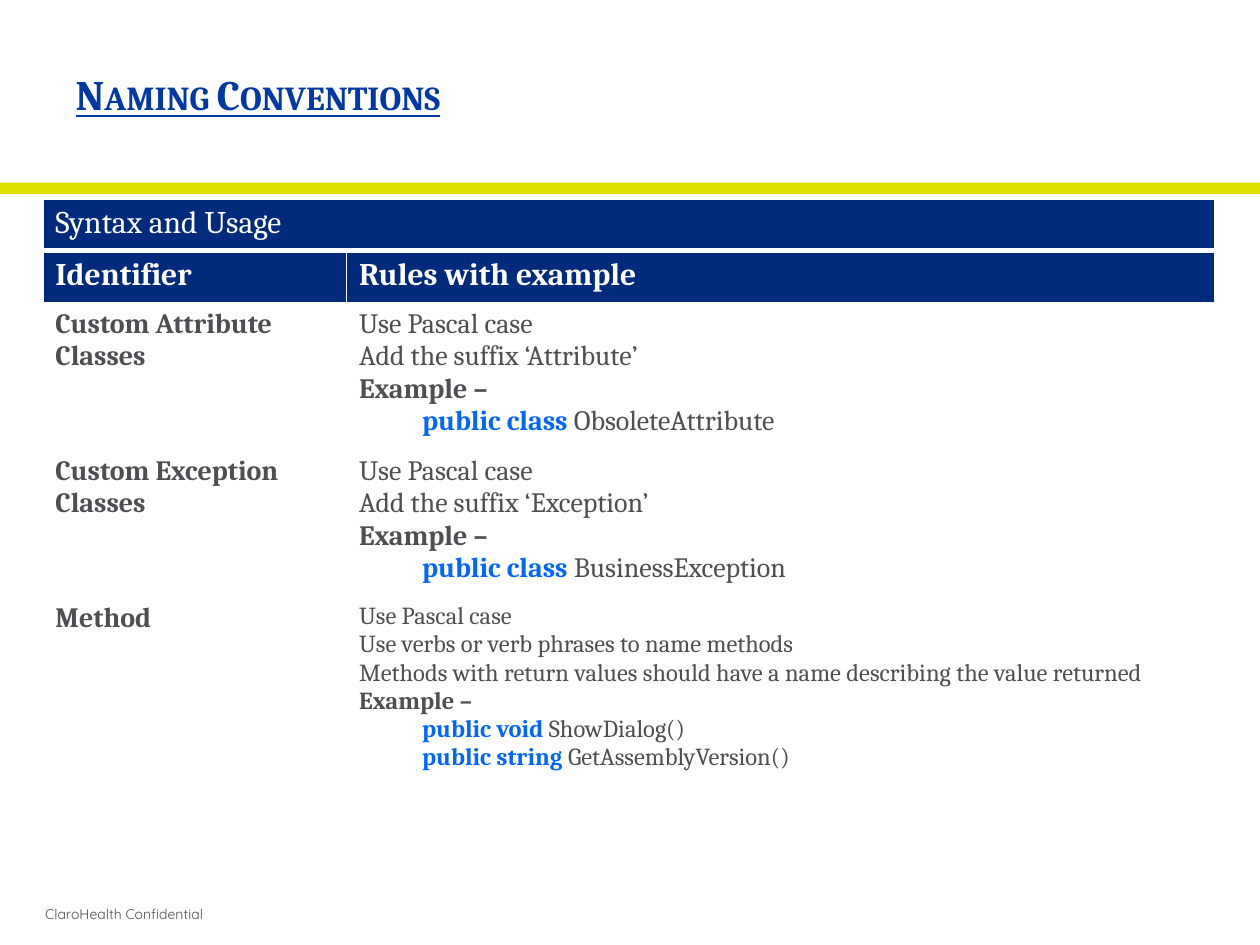
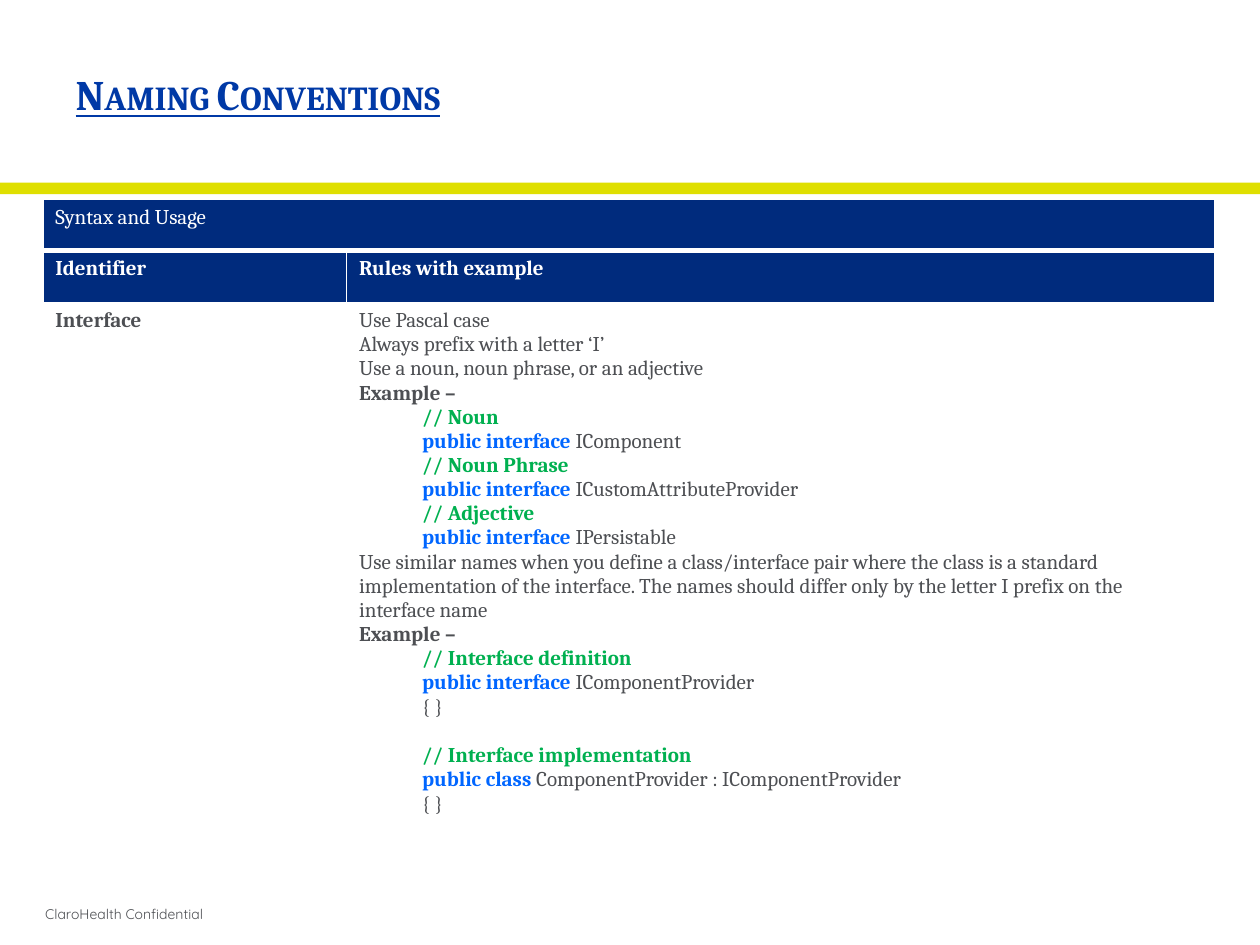
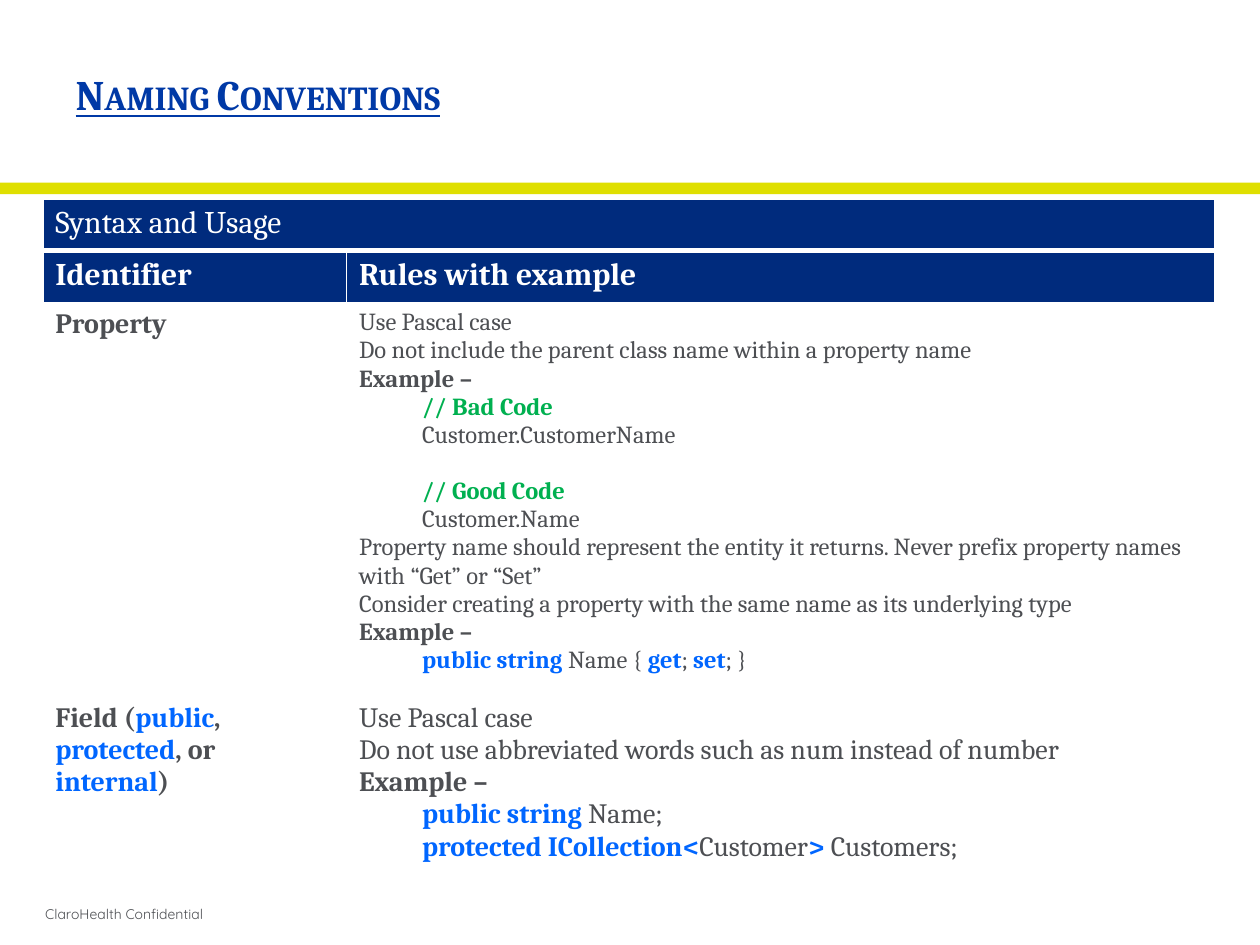
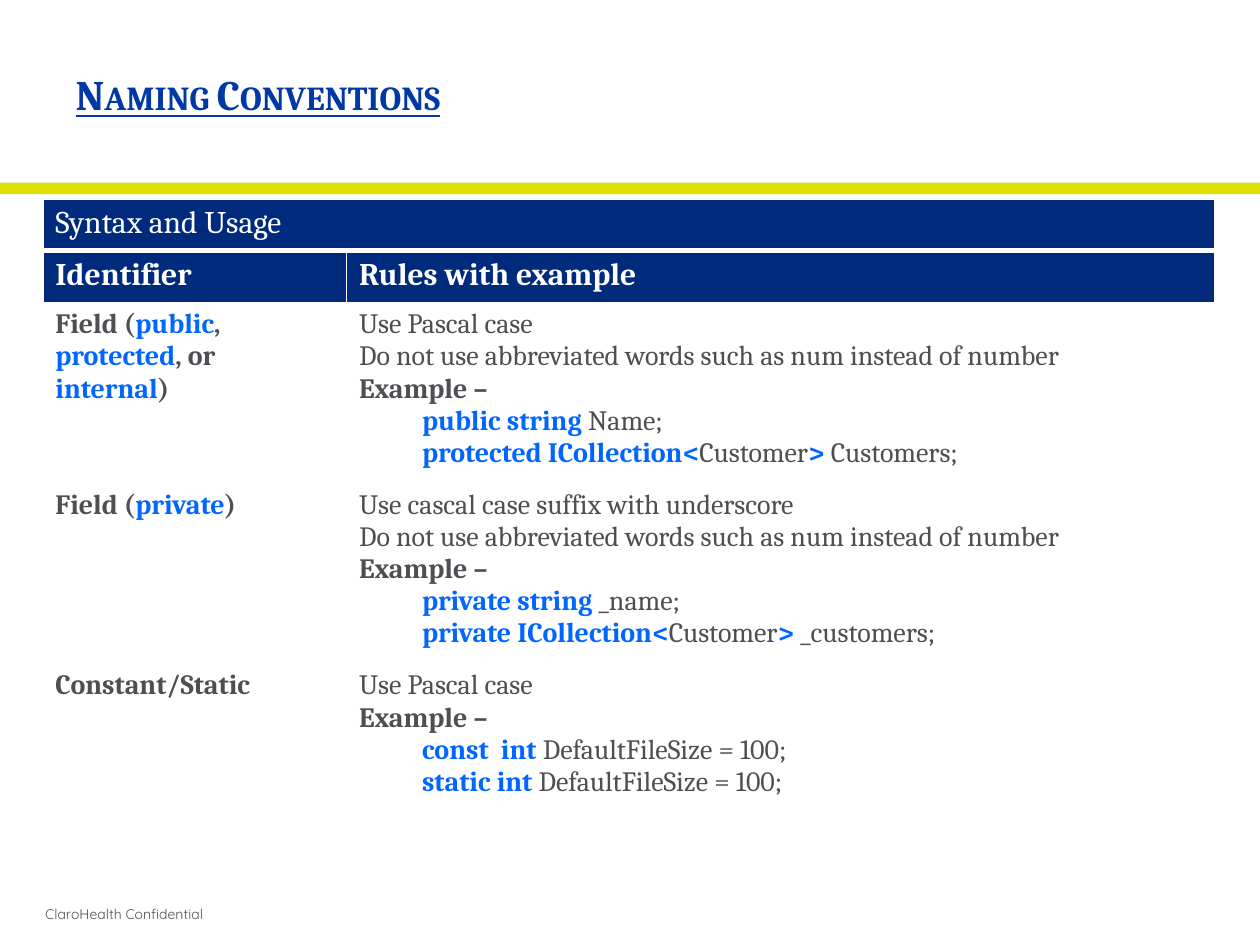
from dataclasses import dataclass

from lxml.etree import SubElement
from pptx import Presentation
from pptx.dml.color import RGBColor
from pptx.enum.shapes import MSO_SHAPE
from pptx.enum.text import MSO_ANCHOR, PP_ALIGN
from pptx.oxml.ns import qn
from pptx.util import Inches, Pt

# Colours and fonts
WHITE = RGBColor(0xFF, 0xFF, 0xFF)
NAVY = RGBColor(0x00, 0x2B, 0x7D)
TITLE_BLUE = RGBColor(0x00, 0x39, 0xA6)
KEYWORD_BLUE = RGBColor(0x00, 0x66, 0xFF)
COMMENT_GREEN = RGBColor(0x00, 0xB0, 0x50)
BAND_YELLOW = RGBColor(0xDF, 0xDF, 0x00)
GREY = RGBColor(0x4D, 0x4F, 0x53)
BODY_FONT = "Cambria"
FOOTER_FONT = "Quicksand"

# Span formats
PLAIN = {"bold": False, "color": GREY}
STRONG = {"bold": True, "color": GREY}
KEYWORD = {"bold": True, "color": KEYWORD_BLUE}
COMMENT = {"bold": True, "color": COMMENT_GREEN}
HEADING = {"bold": False, "color": WHITE}
COLUMN_HEADING = {"bold": True, "color": WHITE}

LINE_HEIGHT = 1.15
ROW_HEIGHT = 0.41
COLUMN_WIDTHS = (2.41, 6.89)


@dataclass
class Line:
    spans: list
    indented: bool = False
    gap: bool = False


@dataclass
class Entry:
    identifier: Line
    rules: list
    size: int = 16
    rule_size: int = 16


# Kinds of line
def alternate(texts, formats):
    return [(text, formats[i % 2]) for i, text in enumerate(texts) if text]


def identifier(*texts):
    return Line(alternate(texts, (STRONG, KEYWORD)))


def rule(text):
    return Line([(text, PLAIN)])


def code(*texts):
    """Keywords and plain code in turn."""
    return Line(alternate(texts, (KEYWORD, PLAIN)), indented=True)


def comment(text, gap=False):
    return Line([(text, COMMENT)], indented=True, gap=gap)


PASCAL = rule("Use Pascal case")
NO_SHORT_WORDS = rule("Do not use abbreviated words such as num instead of number")
EXAMPLE = Line([("Example –", STRONG)])
EMPTY_BODY = code("", "{ }")


class ConventionDeck:
    def __init__(self):
        self.deck = Presentation()
        self.deck.slide_width = Inches(10)
        self.deck.slide_height = Inches(7.5)
        self.page = None

    def add_page(self, title):
        self.page = self.deck.slides.add_slide(self.deck.slide_layouts[5])
        self.add_footer("ClaroHealth Confidential")
        self.add_band()
        self.set_title(title)

    def add_span(self, para, text, **values):
        span = para.add_run()
        span.text = text
        color = values.pop("color")
        for name, value in values.items():
            setattr(span.font, name, value)
        span.font.color.rgb = color
        return span

    def add_footer(self, text):
        box = self.page.shapes.add_textbox(Inches(0.26), Inches(7.08), Inches(9.52), Inches(0.35))
        box.text_frame.word_wrap = True
        box.text_frame.vertical_anchor = MSO_ANCHOR.MIDDLE
        self.add_span(box.text_frame.paragraphs[0], text,
                      name=FOOTER_FONT, size=Pt(8), color=GREY)

    def add_band(self):
        band = self.page.shapes.add_shape(
            MSO_SHAPE.RECTANGLE, 0, Inches(1.45), Inches(10), Inches(0.09))
        band.shadow.inherit = False
        band.fill.solid()
        band.fill.fore_color.rgb = BAND_YELLOW
        band.line.fill.background()

    def set_title(self, text):
        title = self.page.shapes.title
        title.left, title.top = Inches(0.5), Inches(0.51)
        title.width, title.height = Inches(8.99), Inches(0.47)
        title.text_frame.vertical_anchor = MSO_ANCHOR.MIDDLE
        para = title.text_frame.paragraphs[0]
        para.alignment = PP_ALIGN.LEFT
        span = self.add_span(para, text, name=BODY_FONT, size=Pt(24), bold=True,
                             underline=True, color=TITLE_BLUE)
        span.font._element.set("cap", "small")

    def add_border(self, cell, bottom=1):
        properties = cell._tc.get_or_add_tcPr()
        for side, width in {"lnL": 1, "lnR": 1, "lnT": 1, "lnB": bottom}.items():
            border = SubElement(properties, qn(f"a:{side}"), w=str(Pt(width)))
            fill = SubElement(border, qn("a:solidFill"))
            SubElement(fill, qn("a:srgbClr"), val=str(WHITE))

    def fill_cell(self, cell, lines, size, fill=None, bottom=1):
        self.add_border(cell, bottom)
        if fill is None:
            cell.fill.background()
        else:
            cell.fill.solid()
            cell.fill.fore_color.rgb = fill
        frame = cell.text_frame
        for i, line in enumerate(lines):
            para = frame.add_paragraph() if i else frame.paragraphs[0]
            if line.indented:
                para.level = 1
                properties = para._p.get_or_add_pPr()
                properties.set("marL", str(Inches(0.5)))
                properties.set("indent", "0")
            if line.gap:
                para.space_before = Pt(round(size * LINE_HEIGHT))
            for text, values in line.spans:
                self.add_span(para, text, name=BODY_FONT, size=Pt(size), **values)

    def add_rules_table(self, entries, height, heading_size=18):
        frame = self.page.shapes.add_table(
            len(entries) + 2, 2, Inches(0.34), Inches(1.58),
            Inches(sum(COLUMN_WIDTHS)), Inches(height))
        table = frame.table
        table.first_row = table.horz_banding = False
        for column, width in zip(table.columns, COLUMN_WIDTHS):
            column.width = Inches(width)
        for row in table.rows:
            row.height = Inches(ROW_HEIGHT)
        frame.height = Inches(height)

        # Two heading rows
        table.cell(0, 0).merge(table.cell(0, 1))
        self.fill_cell(table.cell(0, 0), [Line([("Syntax and Usage", HEADING)])],
                       heading_size, NAVY, bottom=3)
        for i, text in enumerate(("Identifier", "Rules with example")):
            self.fill_cell(table.cell(1, i), [Line([(text, COLUMN_HEADING)])],
                           heading_size, NAVY)

        # One row for each identifier
        for i, entry in enumerate(entries, start=2):
            self.fill_cell(table.cell(i, 0), [entry.identifier], entry.size)
            self.fill_cell(table.cell(i, 1), entry.rules, entry.rule_size)


def custom_class(kind, example):
    return Entry(identifier(f"Custom {kind} Classes"), [
        PASCAL, rule(f"Add the suffix ‘{kind}’"), EXAMPLE, code("public class ", example)])


CLASSES_AND_METHODS = [
    custom_class("Attribute", "ObsoleteAttribute"),
    custom_class("Exception", "BusinessException"),
    Entry(identifier("Method"), [
        PASCAL,
        rule("Use verbs or verb phrases to name methods"),
        rule("Methods with return values should have a name describing the value returned"),
        EXAMPLE,
        code("public void ", "ShowDialog()"),
        code("public string ", "GetAssemblyVersion()"),
    ], rule_size=14),
]

INTERFACES = [
    Entry(identifier("Interface"), [
        PASCAL,
        rule("Always prefix with a letter ‘I’"),
        rule("Use a noun, noun phrase, or an adjective"),
        EXAMPLE,
        comment("// Noun"),
        code("public interface ", "IComponent"),
        comment("// Noun Phrase"),
        code("public interface ", "ICustomAttributeProvider"),
        comment("// Adjective"),
        code("public interface ", "IPersistable"),
        rule("Use similar names when you define a class/interface pair where the class is a "
             "standard implementation of the interface. The names should differ only by the "
             "letter I prefix on the interface name"),
        EXAMPLE,
        comment("// Interface definition"),
        code("public interface ", "IComponentProvider"),
        EMPTY_BODY,
        comment("// Interface implementation", gap=True),
        code("public class ", "ComponentProvider : IComponentProvider"),
        EMPTY_BODY,
    ], size=12, rule_size=12),
]

PROPERTY = Entry(identifier("Property"), [
    PASCAL,
    rule("Do not include the parent class name within a property name"),
    EXAMPLE,
    comment("// Bad Code"),
    code("", "Customer.CustomerName"),
    comment("// Good Code", gap=True),
    code("", "Customer.Name"),
    rule("Property name should represent the entity it returns. "
         "Never prefix property names with “Get” or “Set”"),
    rule("Consider creating a property with the same name as its underlying type"),
    EXAMPLE,
    code("public string ", "Name { ", "get", "; ", "set", "; }"),
], rule_size=14)

SHARED_FIELD = Entry(
    identifier("Field (", "public", ", ", "protected", ", or ", "internal", ")"), [
        PASCAL,
        NO_SHORT_WORDS,
        EXAMPLE,
        code("public string ", "Name;"),
        code("protected ICollection<", "Customer", "> ", "Customers;"),
    ])

PRIVATE_FIELD = Entry(identifier("Field (", "private", ")"), [
    rule("Use cascal case suffix with underscore"),
    NO_SHORT_WORDS,
    EXAMPLE,
    code("private string ", "_name;"),
    code("private ICollection<", "Customer", "> ", "_customers;"),
])

CONSTANT = Entry(identifier("Constant/Static"), [
    PASCAL,
    EXAMPLE,
    code("const  int ", "DefaultFileSize = 100;"),
    code("static int ", "DefaultFileSize = 100;"),
])

# Entries, table height and heading size of each page
PAGES = [
    (CLASSES_AND_METHODS, 4.88, 18),
    (INTERFACES, 5.11, 12),
    ([PROPERTY, SHARED_FIELD], 5.38, 18),
    ([SHARED_FIELD, PRIVATE_FIELD, CONSTANT], 4.84, 18),
]


def main():
    conventions = ConventionDeck()
    for entries, height, heading_size in PAGES:
        conventions.add_page("Naming Conventions")
        conventions.add_rules_table(entries, height, heading_size)
    conventions.deck.save("out.pptx")


if __name__ == "__main__":
    main()
